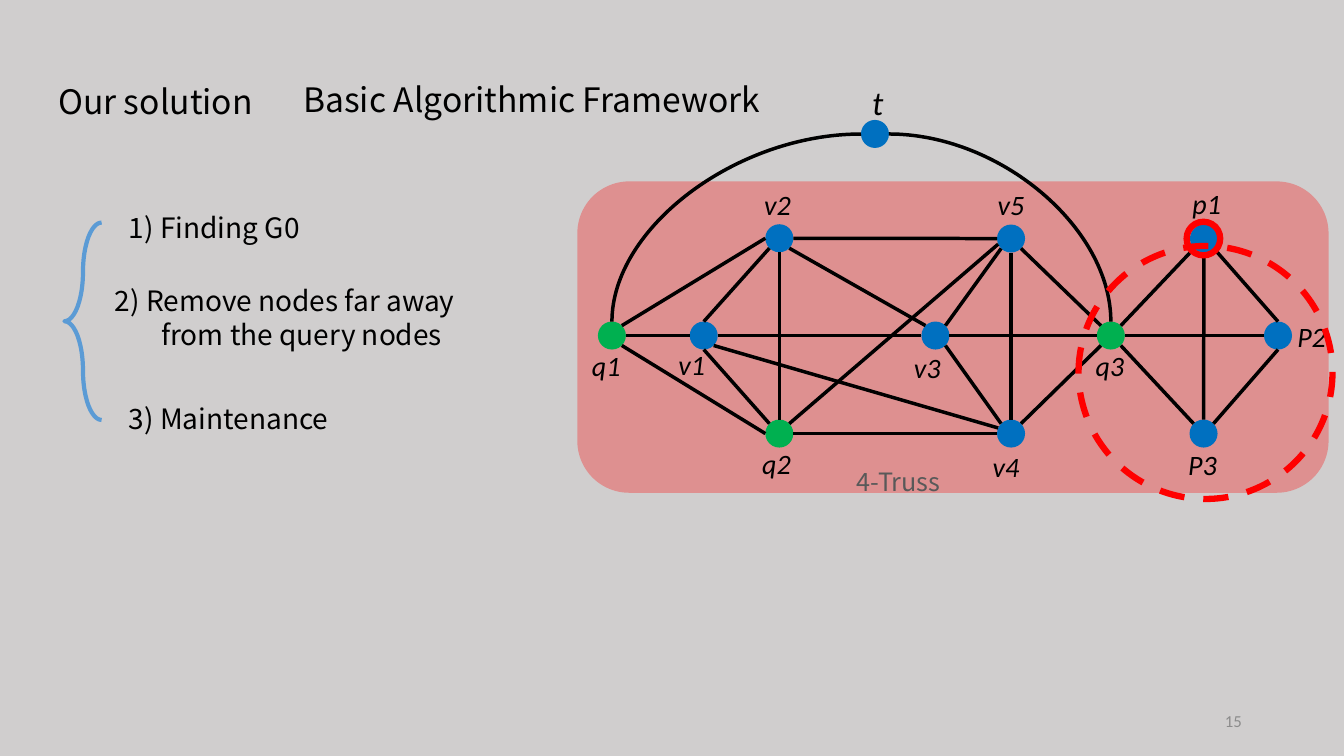
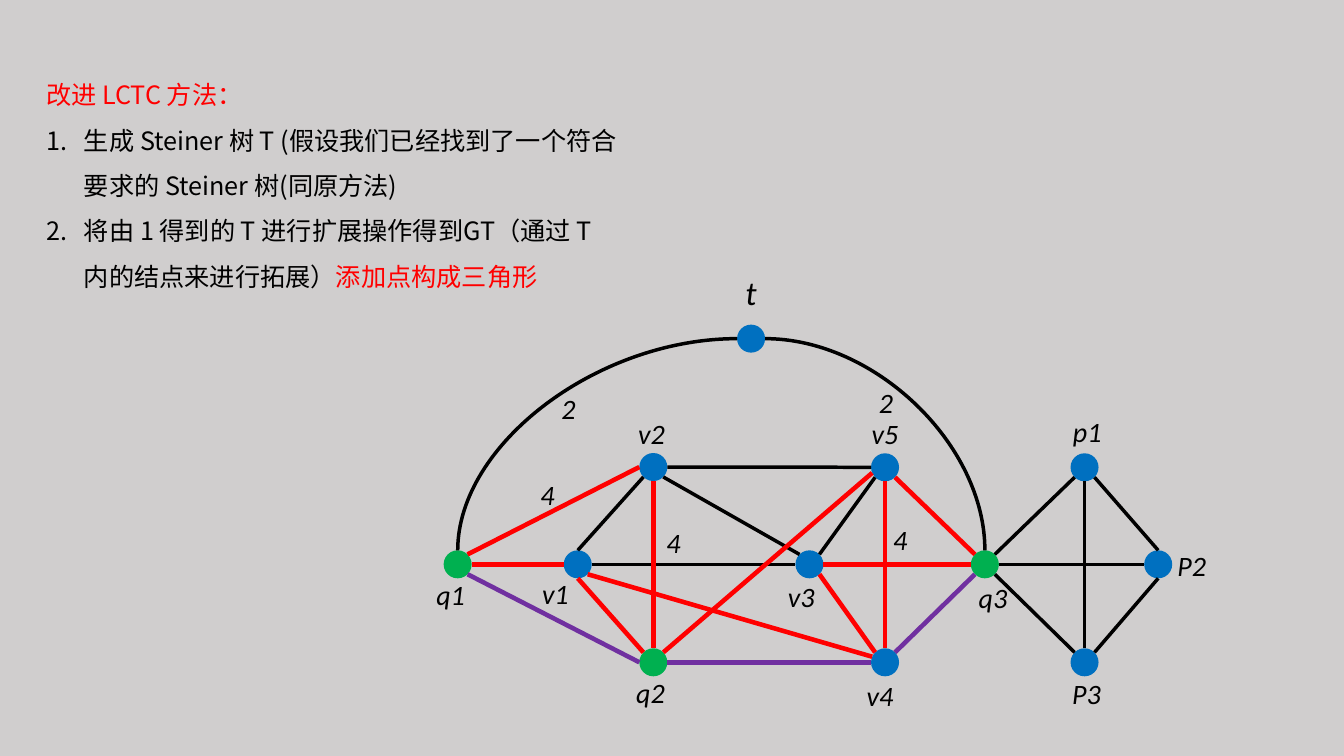
from dataclasses import dataclass, replace

from lxml import etree
from pptx import Presentation
from pptx.dml.color import RGBColor
from pptx.enum.dml import MSO_LINE_DASH_STYLE as Dash
from pptx.enum.shapes import MSO_CONNECTOR as Connector, MSO_SHAPE as Shape
from pptx.enum.text import MSO_ANCHOR as Anchor, MSO_AUTO_SIZE as AutoSize, PP_ALIGN as Align
from pptx.oxml.ns import qn
from pptx.util import Pt


@dataclass(frozen=True)
class Theme:
    """Colours, fonts and sizes shared by the slides."""
    background: str = "D0CECE"
    ink: str = "000000"
    query: str = "00B050"
    vertex: str = "0070C0"
    alert: str = "FF0000"
    steiner: str = "7030A0"
    truss: str = "DE9090"
    truss_label: str = "595959"
    brace: str = "5B9BD5"
    page: str = "8C8C8C"
    text_font: str = "Noto Sans CJK SC"
    label_font: str = "Calibri"
    heading: int = 24
    step: int = 20
    label: int = 20
    body: int = 18
    page_size: int = 12
    edge: float = 2.5
    strong_edge: float = 3.25
    mark: float = 4.5
    node: int = 20


THEME = Theme()


@dataclass(frozen=True)
class Node:
    """Centre of a graph node, with the offset of its label."""
    x: float
    y: float
    label_dx: float
    label_dy: float
    color: str = THEME.vertex
    label_size: int = THEME.label


NODES = {
    "q1": Node(9.4, 154, -4, 6, THEME.query),
    "q2": Node(129, 224, -2, 6, THEME.query),
    "v4": Node(294.5, 224, -3.6, 8),
    "v1": Node(75, 154, -8.6, 5),
    "v3": Node(240.5, 154, -5.8, 7.2),
    "q3": Node(365.8, 154, -0.7, 6, THEME.query),
    "v5": Node(294.5, 84.7, 0, -40),
    "v2": Node(129, 84.5, -1.4, -40),
    "t": Node(197.3, 10, 2, -41, label_size=THEME.heading),
    "p1": Node(432.3, 84.7, 2, -41),
    "P2": Node(485.2, 154, 24, -15),
    "P3": Node(432, 224, -0.7, 6.5),
}
WIDE_NODES = NODES | {
    "q1": replace(NODES["q1"], x=-10.8, label_dx=-5),
    "v1": replace(NODES["v1"], label_dx=-16),
    "q3": replace(NODES["q3"], label_dx=5.8, label_dy=8),
    "t": replace(NODES["t"], x=198.8, y=-7.2, label_dx=0, label_dy=-51),
    "p1": replace(NODES["p1"], x=437),
    "P2": replace(NODES["P2"], x=489.6),
    "P3": replace(NODES["P3"], x=437, label_dx=1.4),
}
DIAGONAL = 0.71
SITES = {
    "N": (0, -1), "NW": (-DIAGONAL, -DIAGONAL), "W": (-1, 0), "SW": (-DIAGONAL, DIAGONAL),
    "S": (0, 1), "SE": (DIAGONAL, DIAGONAL), "E": (1, 0), "NE": (DIAGONAL, -DIAGONAL),
    "WNW": (-0.92, -0.4), "WSW": (-0.92, 0.4),
}
GLUE = {site: str(index) for index, site in enumerate(list(SITES)[:8])}
PLAIN_EDGES = [
    "v1.E v3.W", "q3.E P2.W", "p1.SE P2.N", "p1.SW q3.NE", "p1.S P3.N", "P2.S P3.NE",
    "q3.SE P3.NW", "v5.SW v3.NE", "v2.SW v1.N", "v2.E v5.W", "v2.SE v3.NW",
]
TREE_EDGES = ["q1.SE q2.W", "q2.E v4.W", "v4.NE q3.SW"]
TRIANGLE_EDGES = [
    "q1.NE v2.W", "q1.E v1.W", "v1.S q2.NW", "v2.S q2.N", "v5.WSW q2.NE", "v1.SE v4.WNW",
    "v3.SE v4.NW", "v5.S v4.N", "v3.E q3.W", "v5.SE q3.NW",
]
ARCS = ["t.W q1.N", "t.E q3.N"]


def rgb(color):
    """Return a colour object for a hex string."""
    return RGBColor.from_string(color)


def add_run(paragraph, text, size, color=THEME.ink, font=THEME.text_font, italic=None):
    """Append one formatted run."""
    run = paragraph.add_run()
    run.text = text
    run.font.size = Pt(size)
    run.font.name = font
    run.font.italic = italic
    run.font.color.rgb = rgb(color)
    etree.SubElement(run._r.get_or_add_rPr(), qn("a:ea")).set("typeface", font)


def add_box(slide, box):
    """Add an empty wrapping text box and return its frame."""
    frame = slide.shapes.add_textbox(*map(Pt, box)).text_frame
    frame.word_wrap = True
    return frame


def add_line(slide, box, text, size, color=THEME.ink, font=THEME.text_font,
             align=Align.LEFT, spacing=None, italic=None):
    """Add a text box holding one paragraph and return its frame."""
    frame = add_box(slide, box)
    paragraph = frame.paragraphs[0]
    paragraph.alignment = align
    paragraph.line_spacing = spacing
    add_run(paragraph, text, size, color, font, italic)
    return frame


def add_figure(slide, kind, box, fill=None, line=None, width=0):
    """Add a preset shape with a plain fill or outline."""
    figure = slide.shapes.add_shape(kind, *map(Pt, box))
    figure.shadow.inherit = False
    if fill:
        figure.fill.solid()
        figure.fill.fore_color.rgb = rgb(fill)
    else:
        figure.fill.background()
    if line:
        figure.line.color.rgb = rgb(line)
        figure.line.width = Pt(width)
    else:
        figure.line.fill.background()
    return figure


def hang(paragraph, indent):
    """Give a paragraph a hanging indent and return its properties."""
    properties = paragraph._p.get_or_add_pPr()
    properties.set("marL", str(Pt(indent)))
    properties.set("indent", str(-Pt(indent)))
    return properties


def add_label(slide, x, top, text, size=THEME.label):
    """Add an italic graph label centred on x."""
    add_line(slide, (x - 21, top, 42, size + 12), text, size, font=THEME.label_font,
             align=Align.CENTER, italic=True)


def add_edge(slide, origin, nodes, circles, edge, color, width, kind=Connector.STRAIGHT):
    """Join two node sites, each written as node.site."""
    ends = [end.split(".") for end in edge.split()]
    points = []
    for name, site in ends:
        dx, dy = SITES[site]
        points += [Pt(origin[0] + nodes[name].x + dx * THEME.node / 2),
                   Pt(origin[1] + nodes[name].y + dy * THEME.node / 2)]
    connector = slide.shapes.add_connector(kind, *points)
    connector.line.color.rgb = rgb(color)
    connector.line.width = Pt(width)
    properties = connector._element.spPr
    etree.SubElement(properties, qn("a:effectLst"))
    joints = connector._element.find(".//" + qn("p:cNvCxnSpPr"))
    for tag, (name, site) in zip(("a:stCxn", "a:endCxn"), ends):
        if site in GLUE:
            joint = etree.SubElement(joints, qn(tag))
            joint.set("id", str(circles[name].shape_id))
            joint.set("idx", GLUE[site])
    if kind == Connector.CURVE:
        properties.find(qn("a:prstGeom")).set("prst", "curvedConnector2")
        frame = properties.find(qn("a:xfrm"))
        if frame.attrib.pop("flipH", None):
            frame.set("rot", "10800000")
            frame.set("flipV", "1")


def draw_graph(slide, origin, nodes, tree=THEME.ink, triangle=THEME.ink, strong=THEME.edge):
    """Draw nodes, labels and edges from the given top-left corner."""
    left, top = origin
    radius = THEME.node / 2
    circles = {}
    for name, node in nodes.items():
        x, y = left + node.x, top + node.y
        circles[name] = add_figure(slide, Shape.OVAL,
                                   (x - radius, y - radius, THEME.node, THEME.node), node.color)
        add_label(slide, x + node.label_dx, y + node.label_dy, name, node.label_size)
    for edges, color, width, kind in (
        (PLAIN_EDGES, THEME.ink, THEME.edge, Connector.STRAIGHT),
        (ARCS, THEME.ink, THEME.edge, Connector.CURVE),
        (TREE_EDGES, tree, strong, Connector.STRAIGHT),
        (TRIANGLE_EDGES, triangle, strong, Connector.STRAIGHT),
    ):
        for edge in edges:
            add_edge(slide, origin, nodes, circles, edge, color, width, kind)


def draw_steps(slide, left, top):
    """Draw the braced list of steps."""
    brace = add_figure(slide, Shape.LEFT_BRACE, (left, top, 26.6, 141), line=THEME.brace, width=3)
    brace.adjustments[0] = 1.414
    for offset, text in ((-24.5, "1) Finding G0"), (112.3, "3) Maintenance")):
        add_line(slide, (left + 39, top + offset, 200, 44), text, THEME.step, spacing=1.5)
    removal = add_line(slide, (left + 29, top + 40.3, 275, 56),
                       "2) Remove nodes far away from the query nodes", THEME.step)
    hang(removal.paragraphs[0], 33)


def place_title(slide, box, text):
    """Move and format the title placeholder."""
    title = slide.shapes.title
    title.left, title.top, title.width, title.height = map(Pt, box)
    frame = title.text_frame
    frame.word_wrap = True
    frame.auto_size = AutoSize.NONE
    frame.vertical_anchor = Anchor.TOP
    paragraph = frame.paragraphs[0]
    paragraph.alignment = Align.LEFT
    paragraph.line_spacing = 1.5
    add_run(paragraph, text, THEME.heading)


def build_framework(deck):
    """Build the slide on the basic framework."""
    slide = deck.slides.add_slide(deck.slide_layouts[5])
    add_figure(slide, Shape.ROUNDED_RECTANGLE, (412.4, 129.6, 536.6, 222.4), THEME.truss)
    place_title(slide, (34.3, 40, 170, 46), "Our solution")
    add_line(slide, (209.5, 38.4, 358, 51), "Basic Algorithmic Framework", THEME.heading,
             spacing=1.5)
    draw_graph(slide, (427.7, 85.7), NODES)
    draw_steps(slide, 46, 159)
    add_figure(slide, Shape.OVAL, (847.6, 158.4, 24, 24), line=THEME.alert, width=THEME.mark)
    add_line(slide, (604.8, 329.8, 90, 29), "4-Truss", THEME.body, THEME.truss_label)
    far = add_figure(slide, Shape.OVAL, (770.4, 175.7, 181.4, 180.7), line=THEME.alert,
                     width=THEME.mark)
    far.line.dash_style = Dash.DASH
    page = add_line(slide, (678.2, 500.4, 216, 28.8), "15", THEME.page_size, THEME.page,
                    THEME.label_font, Align.RIGHT)
    page.vertical_anchor = Anchor.MIDDLE


def draw_method(slide, box):
    """Write the heading and the numbered steps of the method."""
    frame = add_box(slide, box)
    heading = frame.paragraphs[0]
    heading.line_spacing = 1.5
    add_run(heading, "改进 LCTC 方法：", THEME.body, THEME.alert)
    for runs in (
        [("生成 Steiner 树 T (假设我们已经找到了一个符合要求的 Steiner 树(同原方法)", THEME.ink)],
        [("将由 1 得到的 T 进行扩展操作得到GT（通过 T 内的结点来进行拓展）", THEME.ink),
         ("添加点构成三角形", THEME.alert)],
    ):
        step = frame.add_paragraph()
        step.line_spacing = 1.5
        etree.SubElement(hang(step, 27), qn("a:buAutoNum")).set("type", "arabicPeriod")
        for text, color in runs:
            add_run(step, text, THEME.body, color)


def build_improvement(deck):
    """Build the slide on the improved method."""
    slide = deck.slides.add_slide(deck.slide_layouts[6])
    draw_method(slide, (25.9, 42.5, 424.8, 170.6))
    left, top = origin = (337.7, 249.1)
    draw_graph(slide, origin, WIDE_NODES, THEME.steiner, THEME.alert, THEME.strong_edge)
    for x, y, weight in ((68.4, 26.7, "2"), (295.2, 23, "2"), (53.3, 88.6, "4"),
                         (143.3, 123, "4"), (305.3, 120.3, "4")):
        add_label(slide, left + x, top + y, weight)


def main():
    """Build and save the deck."""
    deck = Presentation()
    deck.slide_width, deck.slide_height = Pt(960), Pt(540)
    backdrop = deck.slide_master.background.fill
    backdrop.solid()
    backdrop.fore_color.rgb = rgb(THEME.background)
    build_framework(deck)
    build_improvement(deck)
    deck.save("out.pptx")


if __name__ == "__main__":
    main()
